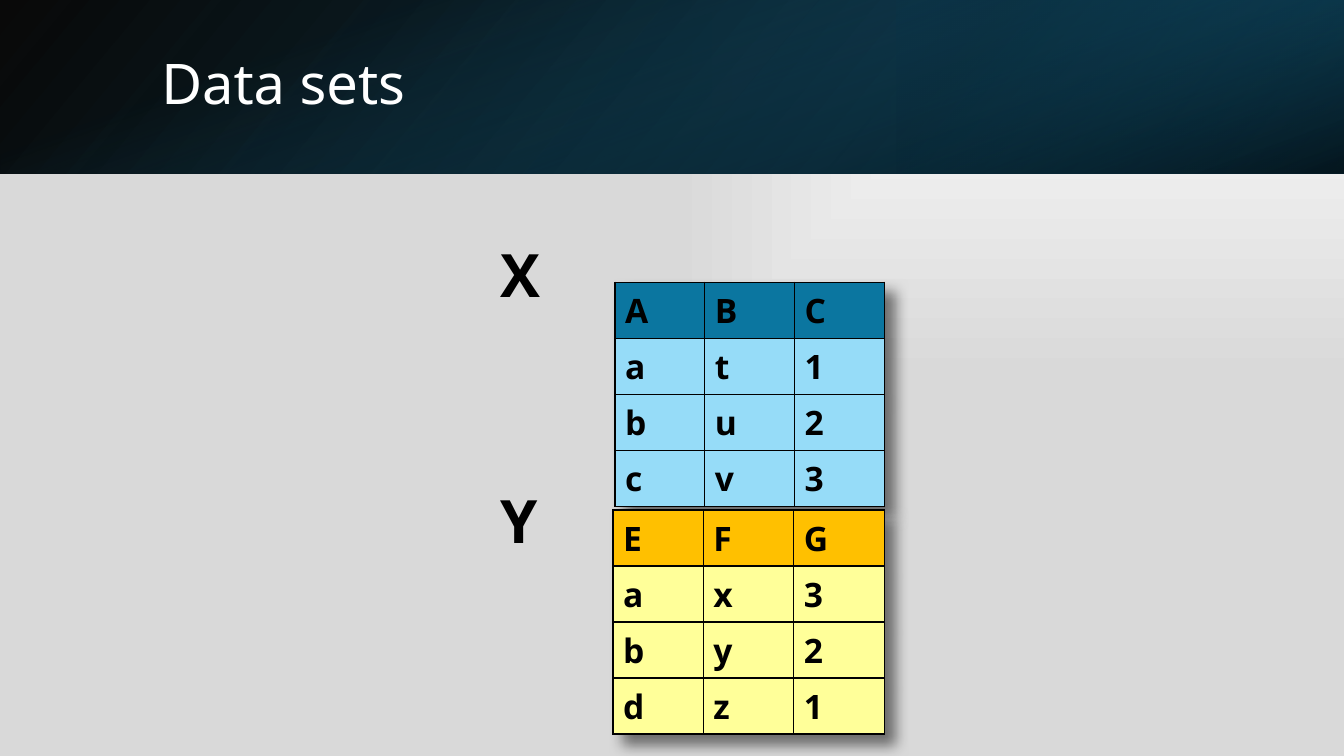
import pptx
import pptx.util
from lxml import etree
from pptx.dml.color import RGBColor
from pptx.enum.shapes import MSO_SHAPE
from pptx.enum.text import MSO_ANCHOR, PP_ALIGN
from pptx.oxml.ns import qn
from pptx.util import Inches, Pt

FONT = "Noto Sans"
BLACK = RGBColor(0, 0, 0)
WHITE = RGBColor(0xFF, 0xFF, 0xFF)
BLUE = RGBColor(0x0B, 0x76, 0xA0)
LIGHT_BLUE = RGBColor(0x96, 0xDC, 0xF8)
ORANGE = RGBColor(0xFF, 0xC0, 0x00)
LIGHT_YELLOW = RGBColor(0xFF, 0xFF, 0x99)
NAVY = RGBColor(0x10, 0x48, 0x62)
DARK_NAVY = RGBColor(0x0B, 0x30, 0x41)
TEAL = RGBColor(0x15, 0x60, 0x82)
GREY = RGBColor(0xD9, 0xD9, 0xD9)

WIDTH, HEIGHT, BANNER = 13.33, 7.5, 1.72
TITLE = "Data sets"
BACKGROUND = [(0, WHITE, 100), (100, GREY, 100)]
# (left, width, height, rotation, flipped, angle, stops)
BANNER_LAYERS = [
    (0, WIDTH, BANNER, 0, True, 140, [(0, BLACK, 96), (100, NAVY, 100)]),
    (8.89, 4.44, BANNER, 180, True, 320, [(19, DARK_NAVY, 68), (100, TEAL, 79)]),
    ((WIDTH - BANNER) / 2, BANNER, WIDTH, 90, False, 340, [(23, TEAL, 0), (99, BLACK, 74)]),
]
DATA_SETS = [
    ("X", 2.31, (6.1, 2.8, 2.67), BLUE, LIGHT_BLUE, ["ABC", "at1", "bu2", "cv3"]),
    ("Y", 4.75, (6.08, 5.06, 2.69), ORANGE, LIGHT_YELLOW, ["EFG", "ax3", "by2", "dz1"]),
]
LABEL_LEFT, LABEL_WIDTH, LABEL_HEIGHT = 4.87, 1.23, 0.81
ROW_HEIGHT = 0.51


def add(parent, tag, **attrs):
    """Append a child element with the given attributes."""
    return etree.SubElement(parent, qn(tag), {k: str(v) for k, v in attrs.items()})


def set_gradient(fill, element, stops, angle=None):
    """Fill with a linear gradient, or one from the top right corner."""
    fill.solid()
    solid = next(element.iter(qn("a:solidFill")))
    grad = etree.Element(qn("a:gradFill"), rotWithShape="1")
    stop_list = add(grad, "a:gsLst")
    for position, color, opacity in stops:
        stop = add(stop_list, "a:gs", pos=position * 1000)
        add(add(stop, "a:srgbClr", val=color), "a:alpha", val=opacity * 1000)
    if angle is None:
        add(add(grad, "a:path", path="rect"), "a:fillToRect", l=100000, b=100000)
    else:
        add(grad, "a:lin", ang=angle * 60000, scaled=0)
    solid.getparent().replace(solid, grad)


def style(p, size, color, bold):
    """Format a paragraph."""
    p.font.name, p.font.size, p.font.bold = FONT, Pt(size), bold
    p.font.color.rgb = color


def add_banner(s):
    """Stack the gradient layers of the banner."""
    for left, width, height, rotation, flipped, angle, stops in BANNER_LAYERS:
        top = (BANNER - height) / 2
        sp = s.shapes.add_shape(MSO_SHAPE.RECTANGLE, Inches(left), Inches(top),
                                Inches(width), Inches(height))
        sp.rotation = rotation
        sp.shadow.inherit = False
        sp.line.fill.background()
        set_gradient(sp.fill, sp._element.spPr, stops, angle)
        if flipped:
            sp._element.spPr.find(qn("a:xfrm")).set("flipH", "1")


def add_title(s):
    """Place the title over the banner."""
    sp = s.shapes.title
    sp.left, sp.top, sp.width, sp.height = map(Inches, (1.5, 0.38, 10.98, 0.96))
    s.shapes._spTree.append(sp._element)
    tf = sp.text_frame
    tf.text = TITLE
    tf.vertical_anchor = MSO_ANCHOR.MIDDLE
    p = tf.paragraphs[0]
    p.alignment, p.line_spacing = PP_ALIGN.LEFT, 0.9
    style(p, 40, WHITE, False)


def add_borders(cell):
    """Draw a thin black line on every side of a cell."""
    props = cell._tc.get_or_add_tcPr()
    for i, side in enumerate("LRTB"):
        ln = etree.Element(qn(f"a:ln{side}"), w=str(Pt(1)))
        add(add(ln, "a:solidFill"), "a:srgbClr", val=BLACK)
        props.insert(i, ln)


def add_data_table(s, frame, head, body, rows):
    """Draw a shadowed table with a coloured header row."""
    left, top, width = map(Inches, frame)
    table = s.shapes.add_table(len(rows), len(rows[0]), left, top, width,
                               Inches(ROW_HEIGHT * len(rows))).table
    effects = etree.Element(qn("a:effectLst"))
    shadow = add(effects, "a:outerShdw", blurRad=Inches(0.14), dist=Inches(0.14),
                 dir=45 * 60000, algn="tl", rotWithShape=0)
    add(add(shadow, "a:srgbClr", val=BLACK), "a:alpha", val=50000)
    table._tbl.tblPr.insert(0, effects)
    for i, row in enumerate(rows):
        for j, value in enumerate(row):
            cell = table.cell(i, j)
            cell.text = value
            style(cell.text_frame.paragraphs[0], 24, BLACK, True)
            cell.fill.solid()
            cell.fill.fore_color.rgb = body if i else head
            add_borders(cell)


def add_label(s, text, top):
    """Write the name of a data set."""
    box = s.shapes.add_textbox(Inches(LABEL_LEFT), Inches(top),
                               Inches(LABEL_WIDTH), Inches(LABEL_HEIGHT))
    tf = box.text_frame
    tf.word_wrap = True
    tf.text = text
    p = tf.paragraphs[0]
    p.space_after = Pt(6)
    style(p, 42.7, BLACK, True)


def main():
    """Build the slide."""
    prs = pptx.Presentation()
    prs.slide_width, prs.slide_height = Inches(WIDTH), Inches(HEIGHT)
    s = prs.slides.add_slide(prs.slide_layouts[5])
    set_gradient(s.background.fill, s._element, BACKGROUND)
    add_banner(s)
    add_title(s)
    for _, _, frame, head, body, rows in DATA_SETS:
        add_data_table(s, frame, head, body, rows)
    for name, top, *_ in DATA_SETS:
        add_label(s, name, top)
    prs.save("out.pptx")


if __name__ == "__main__":
    main()
